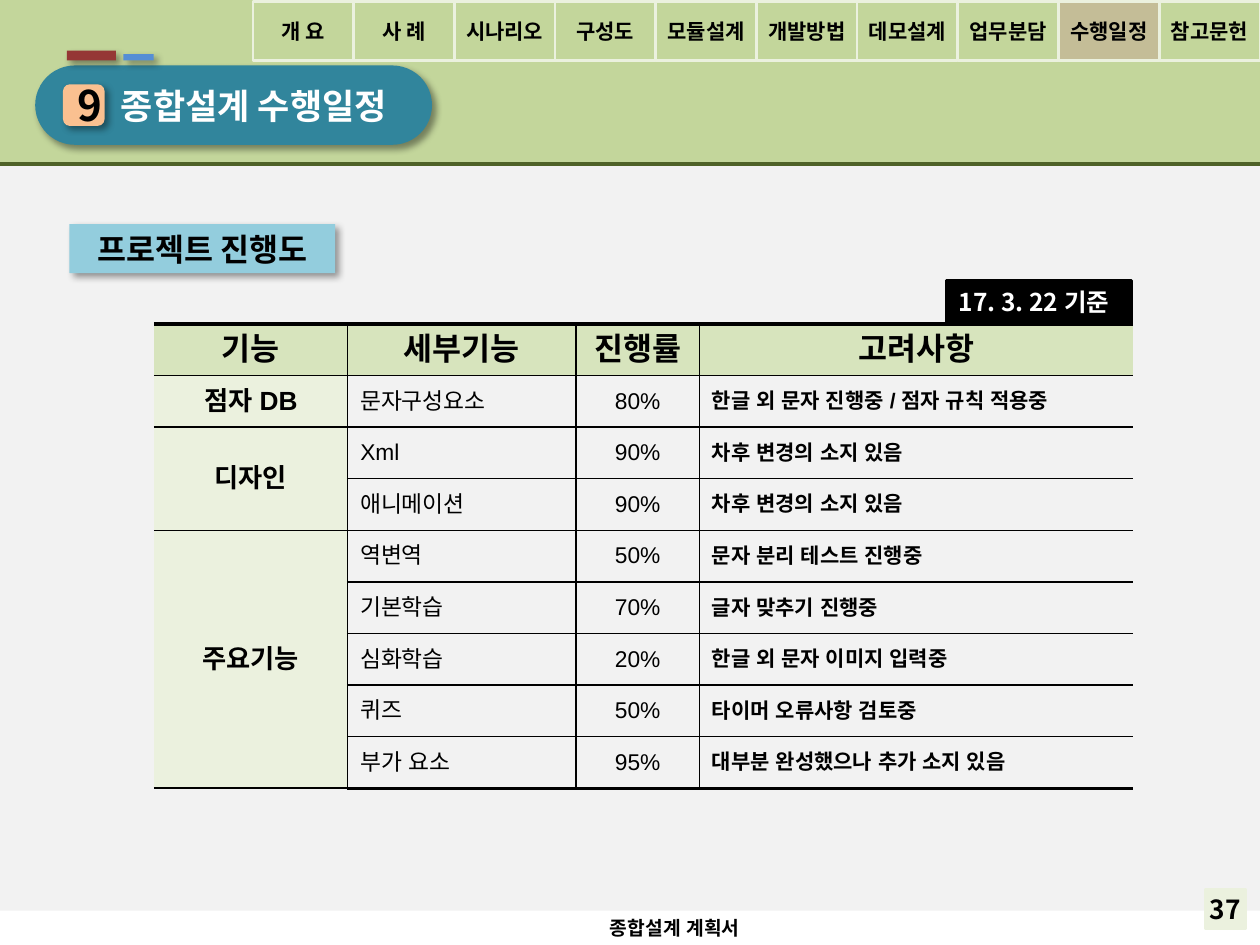
"""Build the project schedule slide with its navigation tabs and progress table."""
from dataclasses import dataclass

from lxml.etree import SubElement
from pptx import Presentation
from pptx.dml.color import RGBColor
from pptx.enum.shapes import MSO_CONNECTOR, MSO_SHAPE
from pptx.enum.text import MSO_ANCHOR, PP_ALIGN
from pptx.oxml import parse_xml
from pptx.oxml.ns import nsdecls, qn
from pptx.util import Cm, Pt


@dataclass(frozen=True)
class Theme:
    sans: str = "Noto Sans CJK KR"
    body: str = "Arial"
    black: str = "000000"
    white: str = "FFFFFF"
    panel: str = "F2F2F2"
    green: str = "C3D69B"
    dark_green: str = "4F6228"
    head_green: str = "D7E4BD"
    pale_green: str = "EBF1DE"
    tan: str = "C4BD97"
    teal: str = "31859C"
    sky: str = "93CDDD"
    peach: str = "FAC090"
    red: str = "953735"
    blue: str = "558ED5"
    number: int = 24
    title: int = 20
    heading: int = 18
    label: int = 15
    date: int = 14
    detail: int = 13
    small: int = 12
    footer: int = 11


T = Theme()
RECT, ROUND = MSO_SHAPE.RECTANGLE, MSO_SHAPE.ROUNDED_RECTANGLE


def write(tf, text, size, color=T.black, font=T.sans, bold=True, align=PP_ALIGN.CENTER):
    tf.text = text
    p = tf.paragraphs[0]
    p.alignment = align
    r = p.runs[0]
    r.font.name, r.font.size, r.font.bold = font, Pt(size), bold
    r.font.color.rgb = RGBColor.from_string(color)
    SubElement(r.font._element, qn("a:ea")).set("typeface", font)


def block(x, y, w, h, fill=None, line=None, line_width=2, kind=RECT, shadow=False):
    sp = s.shapes.add_shape(kind, Cm(x), Cm(y), Cm(w), Cm(h))
    sp.shadow.inherit = False
    if fill:
        sp.fill.solid()
        sp.fill.fore_color.rgb = RGBColor.from_string(fill)
    else:
        sp.fill.background()
    if line:
        sp.line.color.rgb = RGBColor.from_string(line)
        sp.line.width = Pt(line_width)
    else:
        sp.line.fill.background()
    if shadow:
        sp._element.spPr.find(qn("a:effectLst")).append(parse_xml(
            f'<a:outerShdw {nsdecls("a")} blurRad="{Pt(4)}" dist="{Pt(3)}" dir="2700000" '
            f'algn="tl" rotWithShape="0"><a:srgbClr val="{T.black}"><a:alpha val="40000"/>'
            '</a:srgbClr></a:outerShdw>'))
    return sp


prs = Presentation()
prs.slide_width, prs.slide_height = Cm(25.4), Cm(19.05)
s = prs.slides.add_slide(prs.slide_layouts[6])

block(0, 3.35, 25.4, 15.01, T.panel)
page = block(24.31, 17.93, 0.79, 0.79, T.pale_green, T.pale_green)
page.text_frame.margin_left = page.text_frame.margin_right = 0
write(page.text_frame, "37", T.label)

block(0, 0, 25.4, 3.33, T.green)
rule = s.shapes.add_connector(MSO_CONNECTOR.STRAIGHT, 0, Cm(3.3), Cm(25.4), Cm(3.3))
rule.line.color.rgb = RGBColor.from_string(T.dark_green)
rule.line.width = Pt(2.25)
SubElement(rule._element.spPr, qn("a:effectLst"))

footer = s.shapes.add_textbox(Cm(12.04), Cm(18.34), Cm(3.4), Cm(0.74))
footer.text_frame.word_wrap = False
write(footer.text_frame, "종합설계 계획서", T.footer, font=T.body, align=PP_ALIGN.LEFT)

subtitle = block(1.4, 4.52, 5.36, 0.99, T.sky, shadow=True)
write(subtitle.text_frame, "프로젝트 진행도", T.heading)

date = block(19.08, 5.66, 3.73, 0.86, T.black, T.black)
date.text_frame.word_wrap = False
write(date.text_frame, "17. 3. 22 기준", T.date, T.white, align=PP_ALIGN.LEFT)

tabs = ["개 요", "사 례", "시나리오", "구성도", "모듈설계",
        "개발방법", "데모설계", "업무분담", "수행일정", "참고문헌"]
for i, name in enumerate(tabs):
    fill = T.tan if name == "수행일정" else None
    tab = block(5.1 + 2.03 * i, 0.03, 2.03, 1.19, fill, T.pale_green, 1.5)
    tab.text_frame.margin_left = tab.text_frame.margin_right = 0
    write(tab.text_frame, name, T.small)

title = block(0.71, 1.32, 8, 1.6, T.teal, kind=ROUND, shadow=True)
title.adjustments[0] = 0.5
title.text_frame.margin_left = Cm(1.07)
write(title.text_frame, "종합설계 수행일정", T.title, T.white)
number = block(1.27, 1.7, 0.84, 0.84, T.peach, kind=ROUND, shadow=True)
write(number.text_frame, "9", T.number)
block(1.35, 1.02, 0.99, 0.2, T.red, shadow=True)
block(2.49, 1.09, 0.61, 0.13, T.blue, shadow=True)

rows = [
    ("기능", "세부기능", "진행률", "고려사항"),
    ("점자 DB", "문자구성요소", "80%", "한글 외 문자 진행중 / 점자 규칙 적용중"),
    ("디자인", "Xml", "90%", "차후 변경의 소지 있음"),
    ("", "애니메이션", "90%", "차후 변경의 소지 있음"),
    ("주요기능", "역변역", "50%", "문자 분리 테스트 진행중"),
    ("", "기본학습", "70%", "글자 맞추기 진행중"),
    ("", "심화학습", "20%", "한글 외 문자 이미지 입력중"),
    ("", "퀴즈", "50%", "타이머 오류사항 검토중"),
    ("", "부가 요소", "95%", "대부분 완성했으나 추가 소지 있음"),
]
widths = [3.91, 4.6, 2.49, 8.74]
columns = [(T.label, True, PP_ALIGN.CENTER), (T.detail, False, PP_ALIGN.LEFT),
           (T.detail, False, PP_ALIGN.CENTER), (T.small, True, PP_ALIGN.LEFT)]
row_height = 1.04
last_row, last_col = len(rows) - 1, len(widths) - 1
table = s.shapes.add_table(len(rows), len(widths), Cm(3.1), Cm(6.53),
                           Cm(sum(widths)), Cm(row_height * len(rows))).table
table.horz_banding = False
for column, width in zip(table.columns, widths):
    column.width = Cm(width)
for first, last in ((2, 3), (4, 8)):
    table.cell(first, 0).merge(table.cell(last, 0))

for i, row in enumerate(rows):
    table.rows[i].height = Cm(row_height)
    for j, text in enumerate(row):
        cell = table.cell(i, j)
        cell.vertical_anchor = MSO_ANCHOR.MIDDLE
        if i == 0 or j == 0:
            cell.fill.solid()
            cell.fill.fore_color.rgb = RGBColor.from_string(T.pale_green if i else T.head_green)
        else:
            cell.fill.background()
        if text:
            size, bold, align = columns[j] if i else (T.heading, True, PP_ALIGN.CENTER)
            write(cell.text_frame, text, size, font=T.body, bold=bold, align=align)
        borders = {"lnL": 1 if j else 0, "lnR": 1 if j < last_col else 0,
                   "lnT": 1 if i else 2.25, "lnB": 1 if i < last_row else 2.25}
        for k, (side, weight) in enumerate(borders.items()):
            paint = (f'<a:solidFill><a:srgbClr val="{T.black}"/></a:solidFill>'
                     if weight else "<a:noFill/>")
            cell._tc.get_or_add_tcPr().insert(k, parse_xml(
                f'<a:{side} {nsdecls("a")} w="{Pt(weight)}">{paint}</a:{side}>'))

prs.save("out.pptx")
